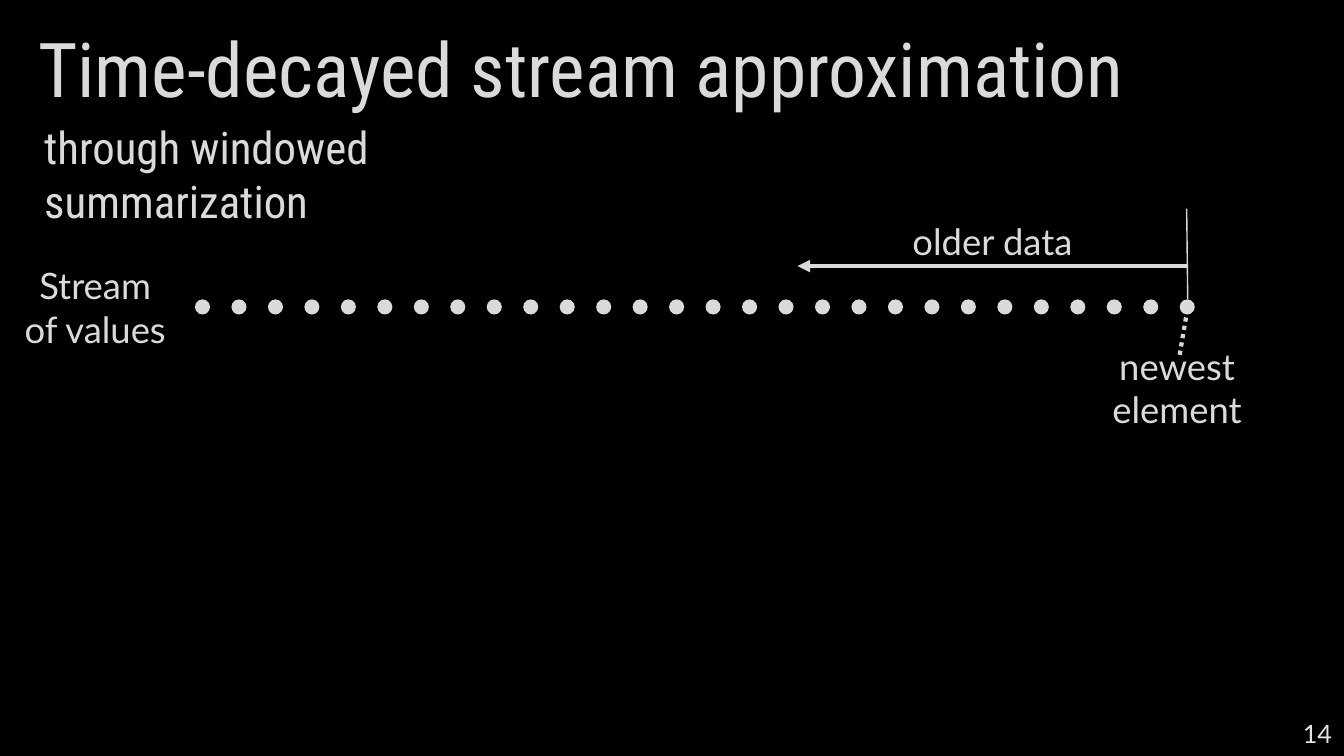
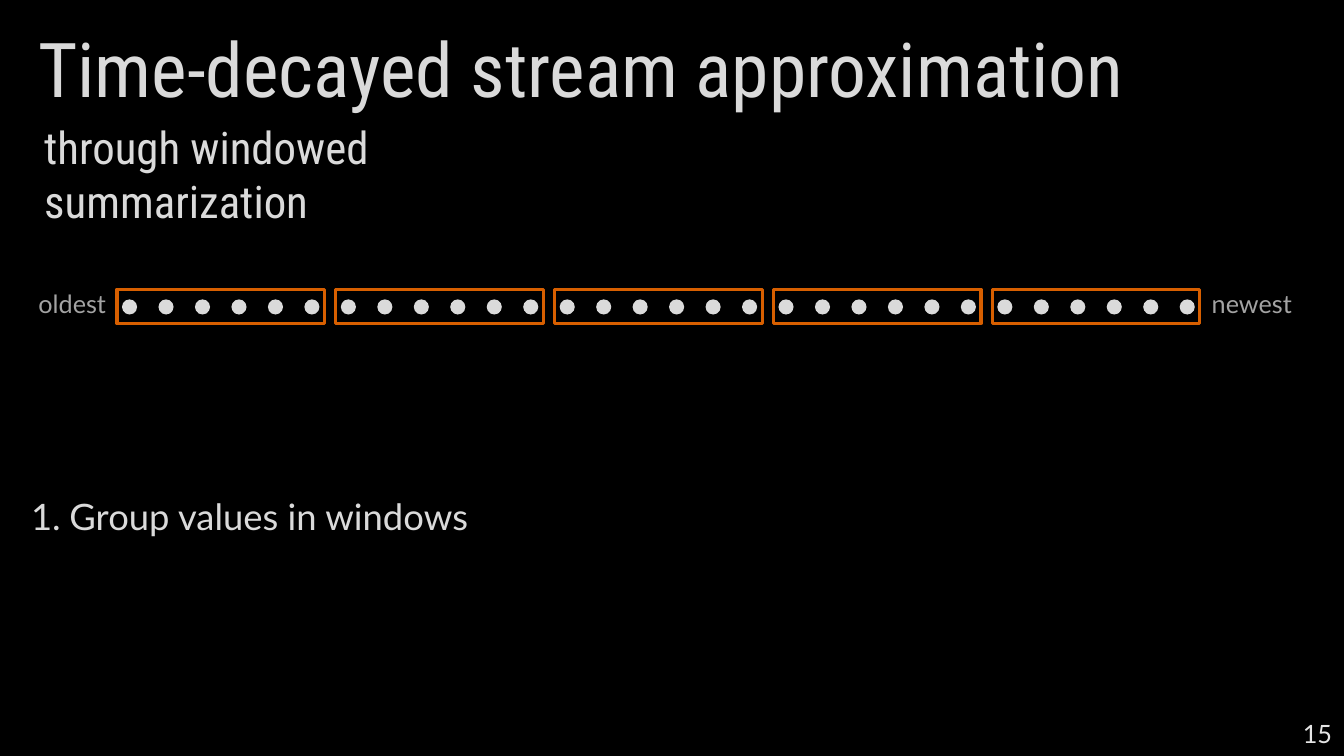
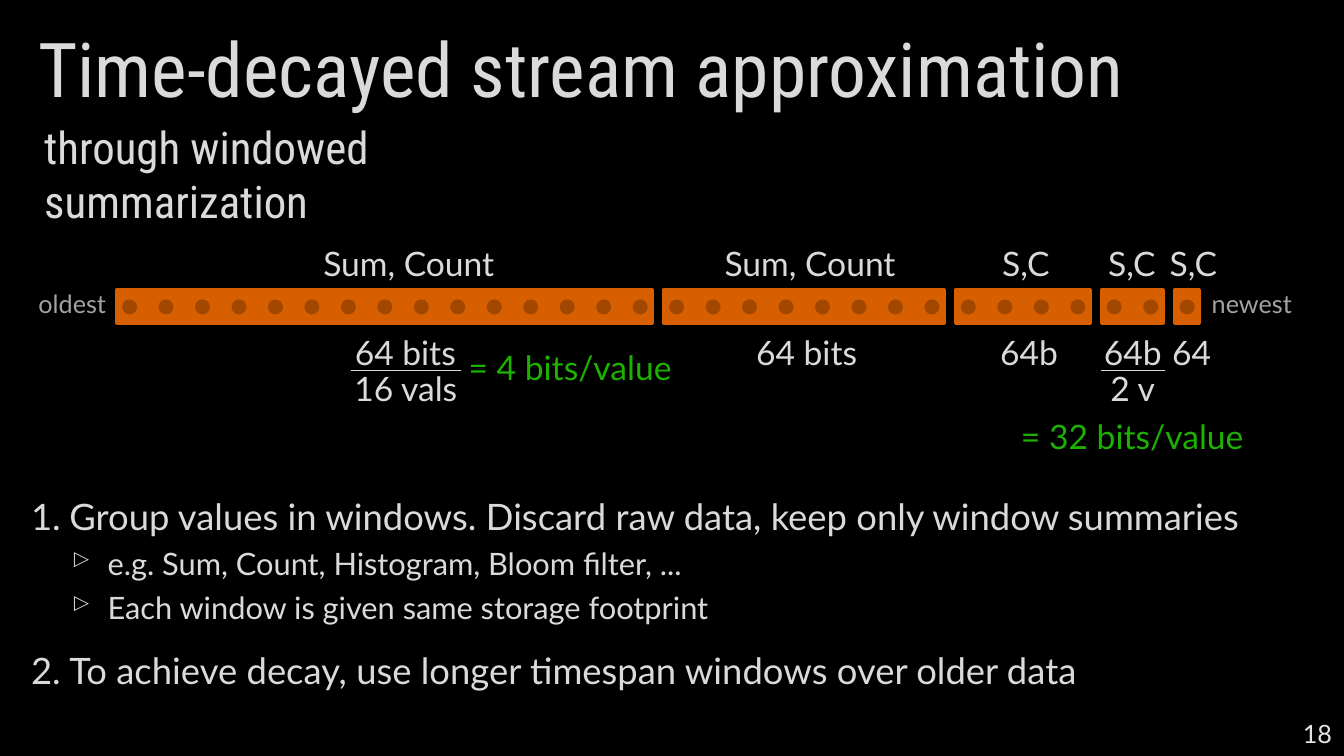
from pptx import Presentation
from pptx.dml.color import RGBColor
from pptx.enum.dml import MSO_LINE
from pptx.enum.shapes import MSO_CONNECTOR, MSO_SHAPE
from pptx.enum.text import MSO_ANCHOR, MSO_AUTO_SIZE, PP_ALIGN
from pptx.oxml.ns import qn
from pptx.util import Inches, Pt
from lxml.etree import SubElement

BLACK = RGBColor(0x00, 0x00, 0x00)
LIGHT = RGBColor(0xDA, 0xDA, 0xDA)
PALE = RGBColor(0xE4, 0xE4, 0xE4)
GRAY = RGBColor(0xA3, 0xA3, 0xA3)
ORANGE = RGBColor(0xD7, 0x5F, 0x00)
BROWN = RGBColor(0xA1, 0x47, 0x00)
GREEN = RGBColor(0x1D, 0xB1, 0x00)

HEADING_FONT, BODY_FONT = "Roboto Condensed", "Lato"
LEFT, CENTER, RIGHT = PP_ALIGN.LEFT, PP_ALIGN.CENTER, PP_ALIGN.RIGHT

# Stream of values: equally spaced dots
DOT_COUNT = 30
DOT_SIZE = 0.15
FIRST_DOT, LAST_DOT = 1.21, 11.7
DOT_TOP = 2.97
DOT_PITCH = (LAST_DOT - FIRST_DOT) / (DOT_COUNT - 1)
WINDOW_MARGIN = 0.05
WINDOW_TOP, WINDOW_HEIGHT = 2.87, 0.34


class Deck:
    """Style of the talk and the slide being filled."""

    def __init__(self):
        self.prs = Presentation()
        self.prs.slide_width, self.prs.slide_height = Inches(13.33), Inches(7.5)
        background = self.prs.slide_master.background.fill
        background.solid()
        background.fore_color.rgb = BLACK
        self.slide = None

    def style(self, paragraph, size, color=LIGHT, font=BODY_FONT, align=LEFT):
        paragraph.alignment = align
        for run in paragraph.runs:
            run.font.size, run.font.name = Pt(size), font
            run.font.color.rgb = color

    def new_slide(self, number):
        self.slide = self.prs.slides.add_slide(self.prs.slide_layouts[5])
        title = self.slide.shapes.title
        title.left, title.top = Inches(0.28), Inches(0)
        title.width, title.height = Inches(12.8), Inches(1.45)
        frame = title.text_frame
        frame.text = "Time-decayed stream approximation"
        frame.auto_size = MSO_AUTO_SIZE.NONE
        frame.vertical_anchor = MSO_ANCHOR.MIDDLE
        frame.paragraphs[0].line_spacing = 0.9
        self.style(frame.paragraphs[0], 54, font=HEADING_FONT)
        self.text("through windowed summarization", 0.34, 1.14, 5.32, 0.64, 32,
                  font=HEADING_FONT, align=LEFT, wrap=True)
        self.text(str(number), 10.31, 7.08, 3, 0.4, 18, PALE, align=RIGHT,
                  anchor=MSO_ANCHOR.MIDDLE, wrap=True)

    def text(self, words, left, top, width, height=0.5, size=24, color=LIGHT,
             font=BODY_FONT, align=CENTER, anchor=MSO_ANCHOR.TOP, wrap=False):
        box = self.slide.shapes.add_textbox(
            Inches(left), Inches(top), Inches(width), Inches(height))
        frame = box.text_frame
        frame.text = words
        frame.word_wrap = wrap
        frame.vertical_anchor = anchor
        self.style(frame.paragraphs[0], size, color, font, align)

    def points(self, items, width):
        """Numbered points; each item is (words, level, space before)."""
        box = self.slide.shapes.add_textbox(
            Inches(0.21), Inches(4.85), Inches(width), Inches(2.38))
        frame = box.text_frame
        frame.word_wrap = True
        for index, (words, level, space) in enumerate(items):
            paragraph = frame.add_paragraph() if index else frame.paragraphs[0]
            paragraph.text = words
            paragraph.level = level
            paragraph.space_before = Pt(space)
            self.style(paragraph, 22 if level else 26)
            indent, hanging = (0.76, 0.36) if level else (0.38, 0.38)
            props = paragraph._p.get_or_add_pPr()
            props.set("marL", str(Inches(indent)))
            props.set("indent", str(-Inches(hanging)))
            if level:
                SubElement(props, qn("a:buChar")).set("char", "▹")
            else:
                SubElement(props, qn("a:buAutoNum")).set("type", "arabicPeriod")

    def shape(self, kind, left, top, width, height, fill=None, outline=None):
        shape = self.slide.shapes.add_shape(
            kind, Inches(left), Inches(top), Inches(width), Inches(height))
        shape.shadow.inherit = False
        if fill is None:
            shape.fill.background()
        else:
            shape.fill.solid()
            shape.fill.fore_color.rgb = fill
        if outline is None:
            shape.line.fill.background()
        else:
            shape.line.color.rgb = outline
            shape.line.width = Pt(2.25)

    def line(self, start, end, weight, dash=None, arrow=False):
        link = self.slide.shapes.add_connector(
            MSO_CONNECTOR.STRAIGHT, *(Inches(v) for v in (*start, *end)))
        link.line.color.rgb = LIGHT
        link.line.width = Pt(weight)
        if dash is not None:
            link.line.dash_style = dash
        if arrow:
            SubElement(link.line._get_or_add_ln(), qn("a:headEnd")).set("type", "triangle")
        SubElement(link._element.spPr, qn("a:effectLst"))

    def dots(self, color=LIGHT, first=0):
        for index in range(first, DOT_COUNT):
            self.shape(MSO_SHAPE.OVAL, FIRST_DOT + index * DOT_PITCH, DOT_TOP,
                       DOT_SIZE, DOT_SIZE, color)

    def windows(self, sizes, fill=None):
        """Frames around consecutive runs of dots."""
        first = 0
        for size in sizes:
            left = FIRST_DOT + first * DOT_PITCH - WINDOW_MARGIN
            width = (size - 1) * DOT_PITCH + DOT_SIZE + 2 * WINDOW_MARGIN
            self.shape(MSO_SHAPE.RECTANGLE, left, WINDOW_TOP, width,
                       WINDOW_HEIGHT, fill, ORANGE)
            first += size

    def age_labels(self):
        self.text("newest", 11.92, 2.81, 1.07, 0.4, 18, GRAY, align=LEFT)
        self.text("oldest", 0.2, 2.81, 0.95, 0.4, 18, GRAY, align=RIGHT)


def stream_slide(deck):
    deck.new_slide(14)
    deck.text("Stream\vof values", 0.08, 2.56, 1.73, 0.98, 26)
    deck.line((11.7, 3.52), (11.77, 3.11), 3, dash=MSO_LINE.ROUND_DOT)
    deck.text("newest\velement", 10.87, 3.36, 1.61, 0.98, 26)
    # Direction of age
    deck.line((7.91, 2.64), (11.77, 2.64), 3, arrow=True)
    deck.line((11.78, 2.97), (11.77, 2.07), 1)
    deck.text("older data", 8.88, 2.12, 1.93, 0.54, 26)
    deck.dots(first=2)


def windows_slide(deck):
    deck.new_slide(15)
    deck.windows([6] * 5)
    deck.dots()
    deck.age_labels()
    deck.points([("Group values in windows", 0, 10)], 12.88)


def decay_slide(deck):
    deck.new_slide(18)
    deck.points([
        ("Group values in windows. Discard raw data, keep only window summaries", 0, 10),
        ("e.g. Sum, Count, Histogram, Bloom filter, ...", 1, 5),
        ("Each window is given same storage footprint", 1, 5),
        ("To achieve decay, use longer timespan windows over older data", 0, 16),
    ], 13.1)
    deck.windows([15, 8, 4, 2, 1], ORANGE)
    deck.dots(BROWN)
    deck.age_labels()
    # Summary above each window
    for words, left, width in [("Sum, Count", 3.04, 2.03), ("Sum, Count", 7.02, 2.03),
                               ("S,C", 9.82, 0.71), ("S,C", 10.87, 0.71),
                               ("S,C", 11.48, 0.71)]:
        deck.text(words, left, 2.36, width)
    # Storage below each window
    for words, left, width in [("64 bits", 3.39, 1.26), ("64 bits", 7.37, 1.26),
                               ("64b", 9.8, 0.81), ("64b", 10.83, 0.81),
                               ("64", 11.52, 0.6)]:
        deck.text(words, left, 3.24, width)
    # Denominators and fraction bars
    for words, left, width, bar_start, bar_end in [("16 vals", 3.39, 1.27, 3.48, 4.57),
                                                   ("2 v", 10.9, 0.67, 10.92, 11.55)]:
        deck.text(words, left, 3.6, width)
        deck.line((bar_start, 3.67), (bar_end, 3.67), 0.5)
    # Cost per value
    deck.text("= 4 bits/value", 4.55, 3.39, 2.36, color=GREEN, align=LEFT)
    deck.text("= 32 bits/value", 9.95, 4.08, 2.56, color=GREEN)


def main():
    deck = Deck()
    stream_slide(deck)
    windows_slide(deck)
    decay_slide(deck)
    deck.prs.save("out.pptx")


if __name__ == "__main__":
    main()
